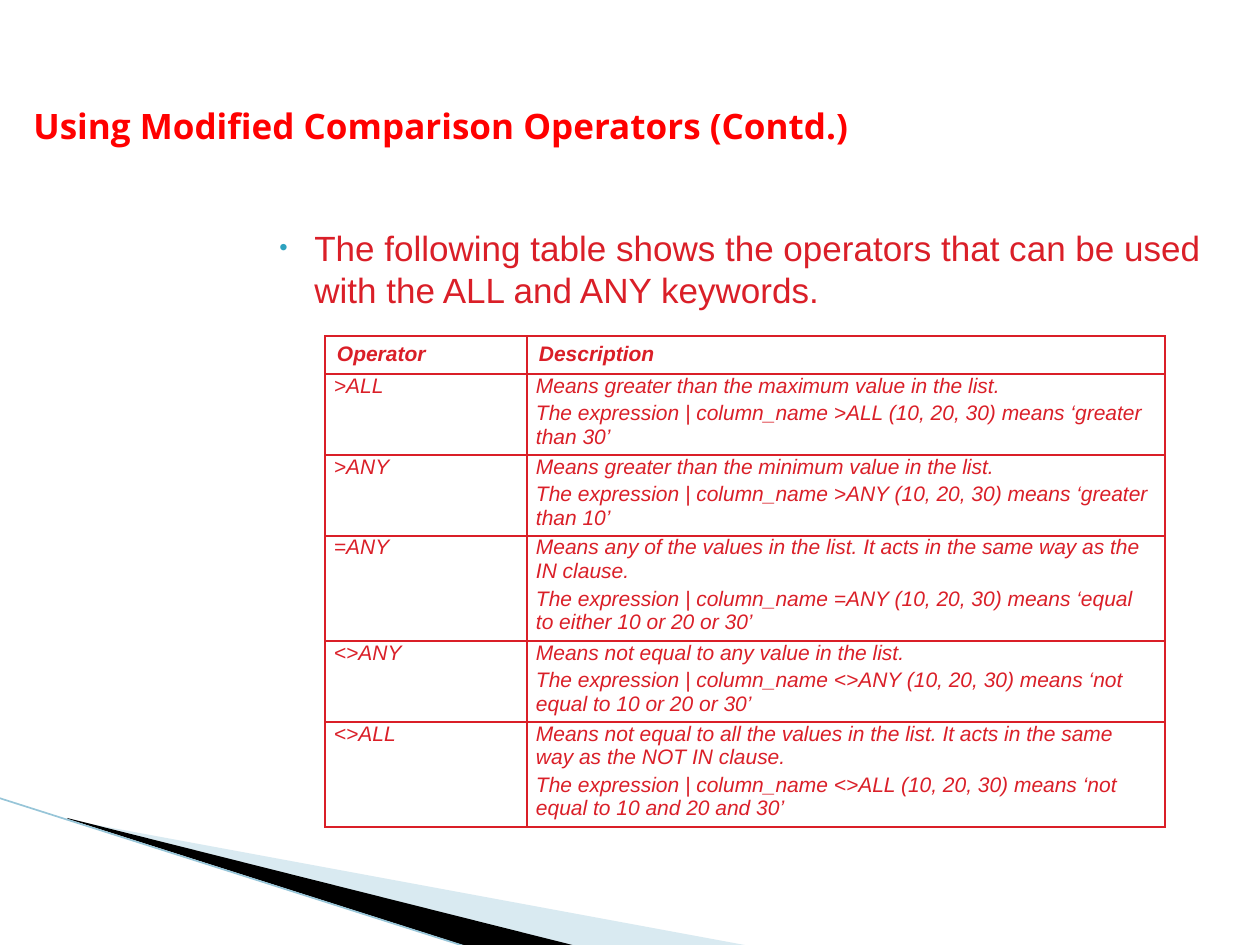
from lxml import etree
from pptx import Presentation
from pptx.dml.color import RGBColor as RGB
from pptx.enum.shapes import MSO_CONNECTOR as CONN, MSO_SHAPE as SHAPE
from pptx.enum.text import MSO_ANCHOR as ANCHOR, PP_ALIGN as ALIGN
from pptx.oxml.ns import qn
from pptx.util import Pt

PX = 914400 / 126
COLORS = {"red": "DA1F28", "title": "FF0000", "bullet": "2DA2BF", "white": "FFFFFF",
          "black": "000000", "pale": "A0CBDC", "edge": "97C5D8"}


def px(*values):
    return [round(v * PX) for v in values]


def add_text(p, text, color, **fmt):
    r = p.add_run()
    r.text = text
    r.font.color.rgb = RGB.from_string(COLORS[color])
    for name, value in fmt.items():
        setattr(r.font, name, value)


prs = Presentation()
prs.slide_width, prs.slide_height = px(1260, 945)
s = prs.slides.add_slide(prs.slide_layouts[6])

# Corner wedges
wedges = [("pale", [(69, 820), (750, 946), (575, 946), (69, 819)]),
          ("black", [(67, 818), (576, 946), (469, 947), (68, 819)])]
for color, points in wedges:
    fb = s.shapes.build_freeform(*points[0], scale=PX)
    fb.add_line_segments(points[1:], close=True)
    sp = fb.convert_to_shape()
    sp.shadow.inherit = False
    sp.fill.solid()
    sp.fill.fore_color.rgb = RGB.from_string(COLORS[color])
    sp.line.fill.background()
    if color == "pale":
        clr = sp.fill._xPr.find(".//" + qn("a:srgbClr"))
        etree.SubElement(clr, qn("a:alpha"), val="40000")

# Edge line along the wedges
edge = s.shapes.add_connector(CONN.STRAIGHT, *px(-1, 798, 467, 947))
edge.line.color.rgb = RGB.from_string(COLORS["edge"])
edge.line.width = Pt(0.95)
etree.SubElement(edge._element.spPr, qn("a:effectLst"))

# Bulleted introduction
sp = s.shapes.add_shape(SHAPE.RECTANGLE, *px(252, 220, 1008, 106))
sp.shadow.inherit = False
sp.fill.solid()
sp.fill.fore_color.rgb = RGB.from_string(COLORS["white"])
sp.line.fill.background()
tf = sp.text_frame
tf.vertical_anchor = ANCHOR.TOP
p = tf.paragraphs[0]
p.alignment = ALIGN.LEFT
p.space_before = Pt(4)
add_text(p, "The following table shows the operators that can be used "
            "with the ALL and ANY keywords.", "red", size=Pt(20), name="Arial")
pPr = p._p.get_or_add_pPr()
margin, indent = px(50, -35)
pPr.set("marL", str(margin))
pPr.set("indent", str(indent))
bu_clr = etree.SubElement(pPr, qn("a:buClr"))
etree.SubElement(bu_clr, qn("a:srgbClr"), val=COLORS["bullet"])
etree.SubElement(pPr, qn("a:buSzPct"), val="68000")
etree.SubElement(pPr, qn("a:buFont"), typeface="Arial")
etree.SubElement(pPr, qn("a:buChar"), char="•")

# Title
tf = s.shapes.add_textbox(*px(21, 98, 1207, 55)).text_frame
tf.word_wrap = True
add_text(tf.paragraphs[0], "Using Modified Comparison Operators (Contd.)", "title",
         size=Pt(20), name="Open Sans", bold=True)

# Operator table
operators = [
    (">ALL", "Means greater than the maximum value in the list.", "greater than 30"),
    (">ANY", "Means greater than the minimum value in the list.", "greater than 10"),
    ("=ANY", "Means any of the values in the list. It acts in the same way as the IN clause.",
     "equal to either 10 or 20 or 30"),
    ("<>ANY", "Means not equal to any value in the list.", "not equal to 10 or 20 or 30"),
    ("<>ALL", "Means not equal to all the values in the list. "
              "It acts in the same way as the NOT IN clause.",
     "not equal to 10 and 20 and 30"),
]
rows = [(["Operator"], ["Description"])]
for op, meaning, result in operators:
    example = f"The expression | column_name {op} (10, 20, 30) means ‘{result}’"
    rows.append(([op], [meaning, example]))

table = s.shapes.add_table(len(rows), 2, *px(325, 336, 840, 491)).table
table.first_row = table.horz_banding = False
for col, width in zip(table.columns, px(202, 638)):
    col.width = width
for row, height in zip(table.rows, px(38, 81, 81, 105, 81, 105)):
    row.height = height

for i, row in enumerate(rows):
    side, top = px(12, 6) if i == 0 else px(9, 0)
    margins = {"margin_left": side, "margin_right": side,
               "margin_top": top, "margin_bottom": top}
    for j, lines in enumerate(row):
        cell = table.cell(i, j)
        for name, value in margins.items():
            setattr(cell, name, value)
        tf = cell.text_frame
        for k, line in enumerate(lines):
            p = tf.add_paragraph() if k else tf.paragraphs[0]
            p.space_before = Pt(2.4)
            add_text(p, line, "red", size=Pt(12), name="Arial", bold=i == 0, italic=True)
        # Cell borders come before the fill in tcPr
        tcPr = cell._tc.get_or_add_tcPr()
        for tag in ("a:lnL", "a:lnR", "a:lnT", "a:lnB"):
            ln = etree.SubElement(tcPr, qn(tag), w=str(Pt(1)))
            fill = etree.SubElement(ln, qn("a:solidFill"))
            etree.SubElement(fill, qn("a:srgbClr"), val=COLORS["red"])
        cell.fill.background()

prs.save("out.pptx")
